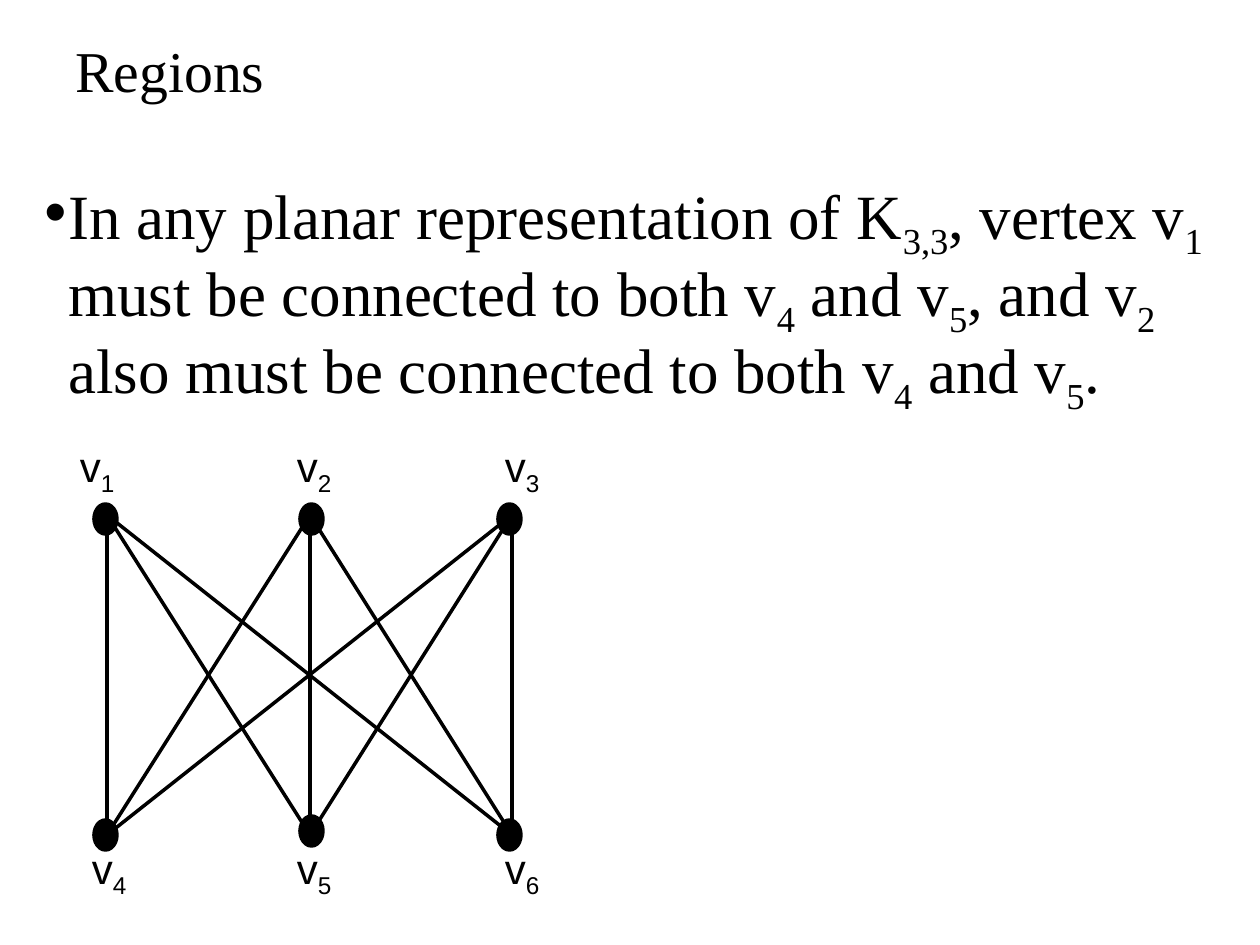
from itertools import product

from lxml.etree import SubElement
from pptx import Presentation
from pptx.dml.color import RGBColor
from pptx.enum.shapes import MSO_CONNECTOR, MSO_SHAPE
from pptx.enum.text import MSO_ANCHOR
from pptx.oxml.ns import qn
from pptx.util import Pt

EMU_PER_PX = 914400 // 126
COLORS = {"ink": "000000", "paper": "FFFFFF"}
INK = RGBColor.from_string(COLORS["ink"])

TITLE_FONT = {"name": "Times New Roman", "size": Pt(33)}
BODY_FONT = {"name": "Times New Roman", "size": Pt(36)}
LABEL_FONT = {"name": "Arial", "size": Pt(24)}

# Every second piece between bars is a subscript
STATEMENT = (
    "In any planar representation of K|3,3|, vertex v|1| must be connected "
    "to both v|4| and v|5|, and v|2| also must be connected to both v|4| "
    "and v|5|."
)
# Label text of each vertex row, and its tab stops in px
LABEL_ROWS = [
    ("\tv|1|\tv|2|\tv|3|", (46, 263, 471)),
    ("\tv|4|\tv|5|\tv|6|", (58, 263, 471)),
]

EDGE_XS = (107, 310, 512)
EDGE_TOP, EDGE_BOTTOM = 515, 835
VERTEX_LEFTS = (94, 300, 498)
VERTEX_TOPS = [(504, 504, 504), (820, 816, 820)]
VERTEX_SIZE = (23, 30)


def px(*lengths):
    return [length * EMU_PER_PX for length in lengths]


def apply(target, formats):
    for name, value in formats.items():
        setattr(target, name, value)


def add_text_frame(slide, box, **formats):
    frame = slide.shapes.add_textbox(*px(*box)).text_frame
    apply(frame, {"word_wrap": True, **formats})
    return frame


def write(paragraph, text, font, **formats):
    apply(paragraph, formats)
    for index, piece in enumerate(text.split("|")):
        run = paragraph.add_run()
        run.text = piece
        apply(run.font, font)
        run.font.color.rgb = INK
        if index % 2:
            run._r.get_or_add_rPr().set("baseline", "-25000")


def add_bullet(paragraph, indent):
    properties = paragraph._p.get_or_add_pPr()
    properties.set("marL", str(indent * EMU_PER_PX))
    properties.set("indent", str(-indent * EMU_PER_PX))
    SubElement(properties, qn("a:buFont"), typeface="Arial")
    SubElement(properties, qn("a:buChar"), char="•")


def add_tab_stops(paragraph, stops):
    tab_list = SubElement(paragraph._p.get_or_add_pPr(), qn("a:tabLst"))
    for stop in px(*stops):
        SubElement(tab_list, qn("a:tab"), pos=str(stop), algn="l")


def add_edge(slide, start, end):
    edge = slide.shapes.add_connector(
        MSO_CONNECTOR.STRAIGHT, *px(*start, *end))
    edge.line.width = Pt(2)
    edge.line.color.rgb = INK
    SubElement(edge._element.spPr, qn("a:effectLst"))


def add_vertex(slide, left, top):
    vertex = slide.shapes.add_shape(
        MSO_SHAPE.OVAL, *px(left, top, *VERTEX_SIZE))
    vertex.shadow.inherit = False
    vertex.fill.solid()
    vertex.fill.fore_color.rgb = INK
    vertex.line.color.rgb = INK
    vertex.line.width = Pt(2)


def add_labels(slide):
    frame = add_text_frame(slide, (34, 434, 660, 460),
                           margin_left=0, margin_right=0)
    first, second = frame.paragraphs[0], frame.add_paragraph()
    second.space_before = Pt(197)
    for paragraph, (text, stops) in zip((first, second), LABEL_ROWS):
        add_tab_stops(paragraph, stops)
        write(paragraph, text, LABEL_FONT)


def main():
    prs = Presentation()
    prs.slide_width, prs.slide_height = px(1260, 945)
    slide = prs.slides.add_slide(prs.slide_layouts[6])
    slide.background.fill.solid()
    slide.background.fill.fore_color.rgb = RGBColor.from_string(
        COLORS["paper"])

    # Title
    title = add_text_frame(slide, (63, 21, 1134, 105),
                           vertical_anchor=MSO_ANCHOR.MIDDLE)
    write(title.paragraphs[0], "Regions", TITLE_FONT, line_spacing=0.9)

    # Statement
    statement = add_text_frame(slide, (32, 171, 1187, 302)).paragraphs[0]
    add_bullet(statement, 24)
    write(statement, STATEMENT, BODY_FONT, line_spacing=0.9)

    # Graph: every upper vertex meets every lower one
    for upper, lower in product(EDGE_XS, repeat=2):
        add_edge(slide, (upper, EDGE_TOP), (lower, EDGE_BOTTOM))
    for tops in VERTEX_TOPS:
        for left, top in zip(VERTEX_LEFTS, tops):
            add_vertex(slide, left, top)
    add_labels(slide)

    prs.save("out.pptx")


if __name__ == "__main__":
    main()
